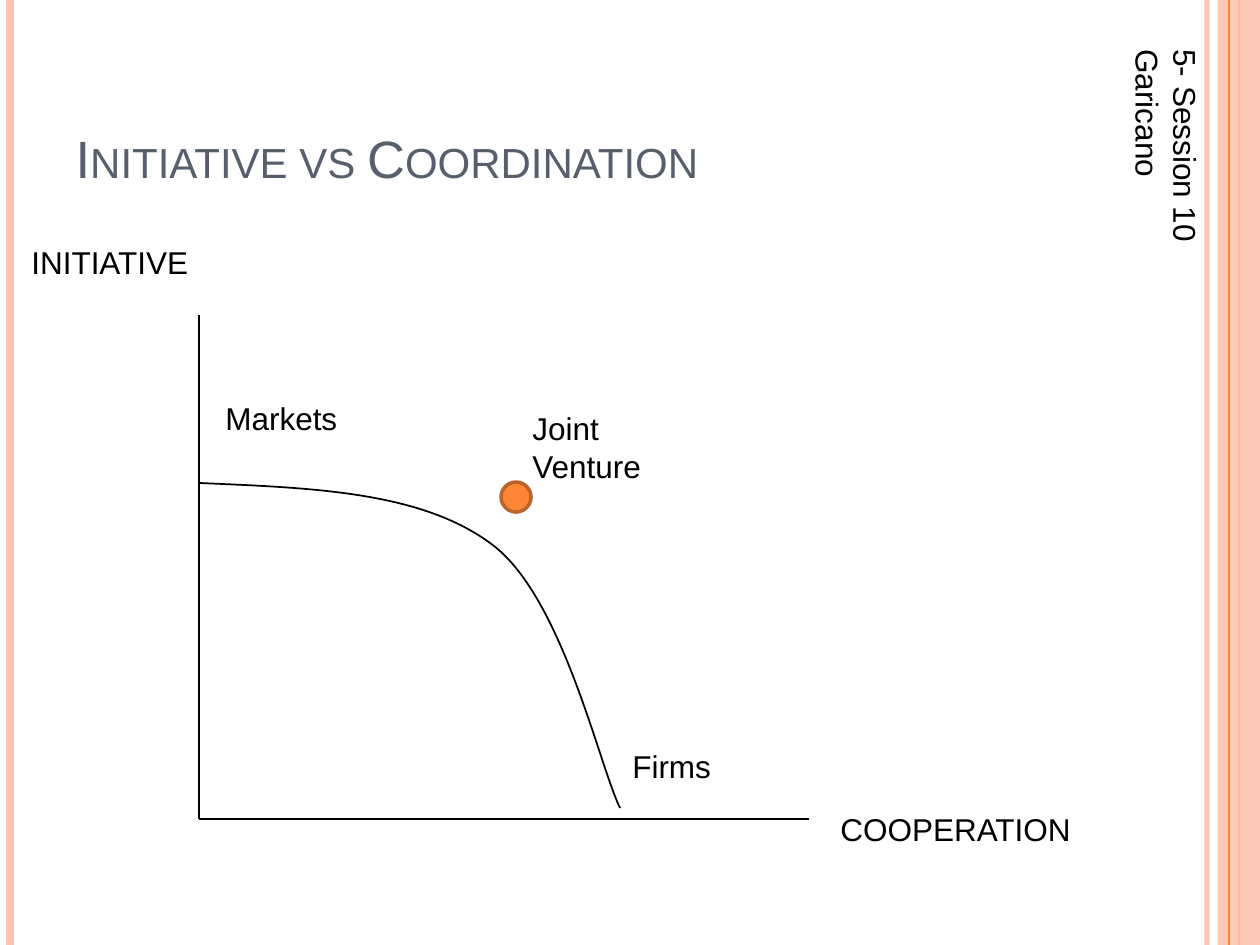
from dataclasses import dataclass

from lxml.etree import SubElement
from pptx import Presentation
from pptx.dml.color import RGBColor
from pptx.enum.shapes import MSO_CONNECTOR, MSO_SHAPE
from pptx.enum.text import MSO_ANCHOR, PP_ALIGN
from pptx.oxml.ns import qn
from pptx.slide import Slide
from pptx.util import Emu, Pt

SCALE = 914400 / 126


@dataclass(frozen=True)
class Theme:
    font: str = "Arial"
    ink: str = "000000"
    title: str = "575F6D"
    pale: str = "FEC3AE"
    fill: str = "FE8637"
    edge: str = "BC6329"
    head: int = 30
    body: int = 18
    thin: float = 1


@dataclass(frozen=True)
class Rule:
    start: tuple[int, int]
    end: tuple[int, int]
    color: str
    width: float
    alpha: int = 100


@dataclass(frozen=True)
class Label:
    text: str
    left: int
    top: int
    width: int
    height: int = 63
    turn: int = 0


THEME = Theme()
WIDTH, HEIGHT = 1260, 945
ORIGIN = (199, 819)


def stripe(x: int, color: str, width: float, alpha: int = 100) -> Rule:
    return Rule((x, 0), (x, HEIGHT), color, width, alpha)


STRIPES = [
    stripe(1207, THEME.pale, 3, 93),
    stripe(10, THEME.pale, 4.5),
    stripe(1239, THEME.fill, 1.5),
]
INNER = stripe(1229, THEME.fill, 0.75)
AXES = [
    Rule((199, 315), ORIGIN, THEME.ink, THEME.thin),
    Rule(ORIGIN, (809, 819), THEME.ink, THEME.thin),
]
LABELS = [
    Label("5- Session 10 Garicano", 1046, 149, 277, 53, 90),
    Label("INITIATIVE", 19, 237, 249),
    Label("COOPERATION", 828, 804, 323),
    Label("Markets", 213, 393, 163),
    Label("Firms", 620, 741, 123),
    Label("Joint Venture", 520, 403, 208, 89),
]
CURVE = [
    (199, 483),
    (311, 488), (423, 491), (494, 546),
    (563, 600), (599, 765), (620, 808),
]


def px(n: int) -> Emu:
    return Emu(round(n * SCALE))


def rgb(code: str) -> RGBColor:
    return RGBColor.from_string(code)


def fade(shape, alpha: int) -> None:
    tint = next(shape._element.spPr.iter(qn("a:srgbClr")))
    SubElement(tint, qn("a:alpha")).set("val", str(alpha * 1000))


def draw_rule(slide: Slide, rule: Rule) -> None:
    line = slide.shapes.add_connector(
        MSO_CONNECTOR.STRAIGHT, *map(px, rule.start + rule.end))
    line.line.color.rgb = rgb(rule.color)
    line.line.width = Pt(rule.width)
    if rule.alpha < 100:
        fade(line, rule.alpha)
    SubElement(line._element.spPr, qn("a:effectLst"))


def style(para, size: int, color: str) -> None:
    para.alignment = PP_ALIGN.LEFT
    para.font.name = THEME.font
    para.font.size = Pt(size)
    para.font.color.rgb = rgb(color)


def draw_label(slide: Slide, label: Label) -> None:
    box = slide.shapes.add_textbox(
        *map(px, (label.left, label.top, label.width, label.height)))
    box.rotation = label.turn
    frame = box.text_frame
    frame.word_wrap = True
    frame.text = label.text
    style(frame.paragraphs[0], THEME.body, THEME.ink)


def draw_title(slide: Slide, text: str) -> None:
    title = slide.shapes.title
    title.left, title.top, title.width, title.height = map(
        px, (63, 38, 1029, 157))
    frame = title.text_frame
    frame.text = text
    frame.vertical_anchor = MSO_ANCHOR.BOTTOM
    para = frame.paragraphs[0]
    style(para, THEME.head, THEME.title)
    para._p.pPr.find(qn("a:defRPr")).set("cap", "small")


def draw_band(slide: Slide) -> None:
    band = slide.shapes.add_shape(
        MSO_SHAPE.RECTANGLE, *map(px, (1218, 0, 42, HEIGHT)))
    band.shadow.inherit = False
    band.fill.solid()
    band.fill.fore_color.rgb = rgb(THEME.pale)
    band.line.fill.background()
    fade(band, 87)


def draw_curve(slide: Slide) -> None:
    pen = slide.shapes.build_freeform(*CURVE[0], scale=SCALE)
    pen.add_line_segments(CURVE[1:], close=False)
    curve = pen.convert_to_shape()
    curve.shadow.inherit = False
    curve.fill.background()
    curve.line.color.rgb = rgb(THEME.ink)
    curve.line.width = Pt(THEME.thin)
    route = next(curve._element.iter(qn("a:path")))
    steps = route.findall(qn("a:lnTo"))
    for i in range(0, len(steps), 3):
        bend = SubElement(route, qn("a:cubicBezTo"))
        for step in steps[i:i + 3]:
            bend.append(step[0])
            route.remove(step)


def draw_dot(slide: Slide) -> None:
    dot = slide.shapes.add_shape(
        MSO_SHAPE.OVAL, *map(px, (501, 482, 30, 30)))
    dot.shadow.inherit = False
    dot.fill.solid()
    dot.fill.fore_color.rgb = rgb(THEME.fill)
    dot.line.color.rgb = rgb(THEME.edge)
    dot.line.width = Pt(2)


def main() -> None:
    deck = Presentation()
    deck.slide_width, deck.slide_height = px(WIDTH), px(HEIGHT)
    slide = deck.slides.add_slide(deck.slide_layouts[5])
    for rule in STRIPES:
        draw_rule(slide, rule)
    draw_band(slide)
    draw_rule(slide, INNER)
    draw_title(slide, "Initiative vs Coordination")
    for rule in AXES:
        draw_rule(slide, rule)
    draw_curve(slide)
    draw_dot(slide)
    for label in LABELS:
        draw_label(slide, label)
    deck.save("out.pptx")


if __name__ == "__main__":
    main()
